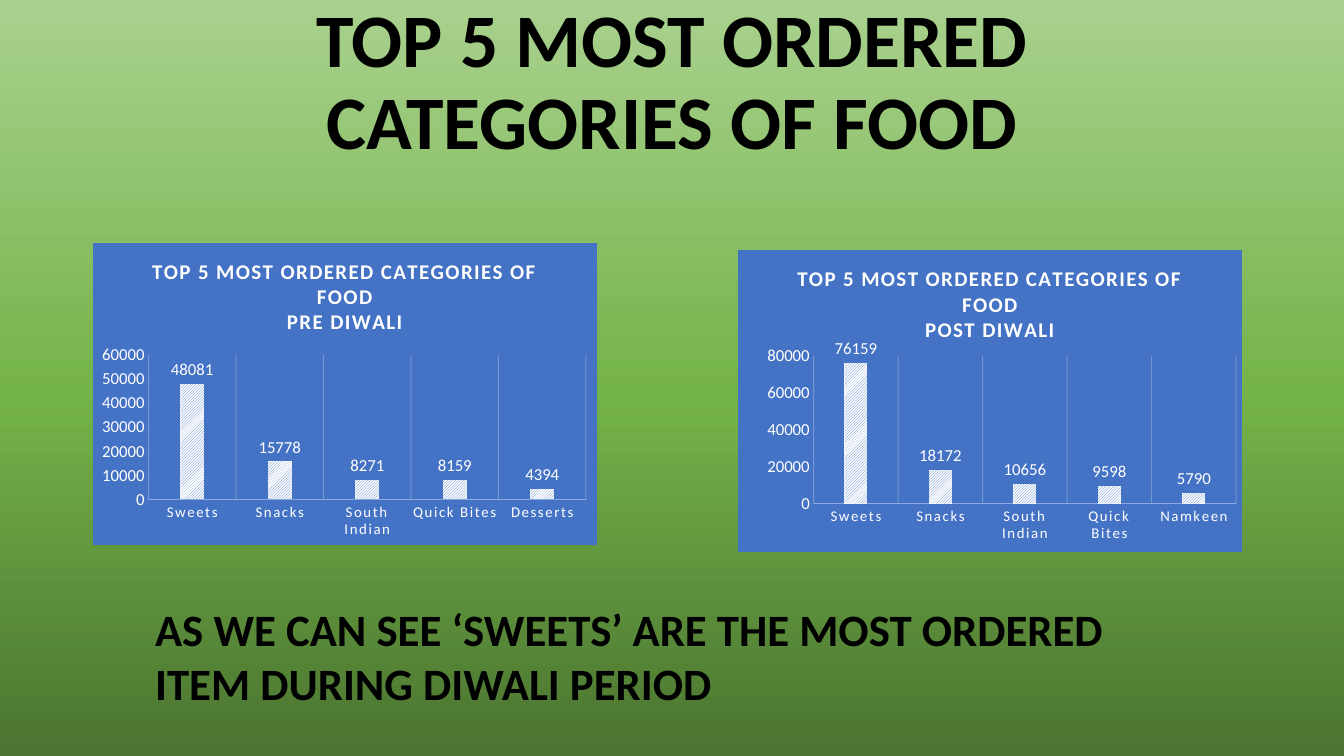
import copy
from dataclasses import dataclass

import lxml.etree
import pptx
import pptx.chart.data
import pptx.dml.color
import pptx.enum.chart
import pptx.enum.dml
import pptx.enum.text
import pptx.oxml
import pptx.oxml.ns
import pptx.util

Pt = pptx.util.Pt
qn = pptx.oxml.ns.qn


def rgb(code):
    return pptx.dml.color.RGBColor.from_string(code)


@dataclass(frozen=True)
class Theme:
    font: str = "Calibri"
    ink: str = "000000"
    white: str = "FFFFFF"
    panel: str = "4472C4"
    axis_line: str = "8FAADC"
    backdrop: tuple = ((0, "4B7430"), (0.48, "74B349"), (1, "A9D18E"))
    title_size: float = 54
    remark_size: float = 32
    chart_title_size: float = 15
    value_size: float = 12
    category_size: float = 10.6


class SlideBuilder:
    def __init__(self, slide, theme):
        self.slide = slide
        self.theme = theme

    def style(self, font, size, color, bold=False):
        font.name = self.theme.font
        font.size = Pt(size)
        font.bold = bold
        font.color.rgb = rgb(color)

    def background(self):
        fill = self.slide.background.fill
        fill.gradient()
        fill.gradient_angle = 90
        stop_list = self.slide.element.xpath(".//a:gsLst")[0]
        stop_list.append(copy.deepcopy(stop_list[-1]))
        for stop, (position, color) in zip(fill.gradient_stops, self.theme.backdrop):
            stop.position = position
            stop.color.rgb = rgb(color)

    def title(self, text, left, top, width, height):
        heading = self.slide.shapes.title
        heading.left, heading.top = Pt(left), Pt(top)
        heading.width, heading.height = Pt(width), Pt(height)
        frame = heading.text_frame
        frame.text = text
        frame.word_wrap = True
        frame.auto_size = pptx.enum.text.MSO_AUTO_SIZE.NONE
        frame.vertical_anchor = pptx.enum.text.MSO_ANCHOR.BOTTOM
        paragraph = frame.paragraphs[0]
        paragraph.alignment = pptx.enum.text.PP_ALIGN.CENTER
        paragraph.line_spacing = 0.9
        self.style(paragraph.font, self.theme.title_size, self.theme.ink, bold=True)

    def remark(self, text, left, top, width, height):
        box = self.slide.shapes.add_textbox(Pt(left), Pt(top), Pt(width), Pt(height))
        frame = box.text_frame
        frame.word_wrap = True
        frame.auto_size = pptx.enum.text.MSO_AUTO_SIZE.SHAPE_TO_FIT_TEXT
        frame.text = text
        self.style(frame.paragraphs[0].font, self.theme.remark_size, self.theme.ink, bold=True)

    def column_chart(self, heading, orders, left, top, width, height, plot):
        """Draw orders by category; plot holds the inner plot area as fractions."""
        theme = self.theme
        data = pptx.chart.data.CategoryChartData()
        data.categories = list(orders)
        data.add_series("Series 1", list(orders.values()))
        chart = self.slide.shapes.add_chart(
            pptx.enum.chart.XL_CHART_TYPE.COLUMN_CLUSTERED,
            Pt(left), Pt(top), Pt(width), Pt(height), data).chart
        self.style(chart.font, 10, theme.ink)
        chart.has_legend = False
        self.chart_title(chart, heading)
        self.axes(chart)
        self.columns(chart.plots[0])
        self.chart_area(chart)
        self.plot_area(chart, plot)

    def chart_title(self, chart, heading):
        chart.has_title = True
        frame = chart.chart_title.text_frame
        frame.text = heading
        for paragraph in frame.paragraphs:
            self.style(paragraph.font, self.theme.chart_title_size, self.theme.white, bold=True)
            paragraph.font._element.set("spc", "100")

    def axes(self, chart):
        theme = self.theme
        categories, values = chart.category_axis, chart.value_axis
        for axis, size in ((categories, theme.category_size), (values, theme.value_size)):
            axis.major_tick_mark = pptx.enum.chart.XL_TICK_MARK.NONE
            self.style(axis.tick_labels.font, size, theme.white)
        categories.tick_labels.font._element.set("spc", "120")
        categories.format.line.color.rgb = rgb(theme.axis_line)
        categories.format.line.width = Pt(0.25)
        categories.has_major_gridlines = True
        grid = categories.major_gridlines.format.line
        grid.color.rgb = rgb(theme.white)
        grid.width = Pt(0.75)
        grid_color = categories.major_gridlines._xAx.xpath("c:majorGridlines//a:srgbClr")[0]
        lxml.etree.SubElement(grid_color, qn("a:alpha"), val="25000")
        values.has_major_gridlines = False
        values.format.line.fill.background()

    def columns(self, plot):
        theme = self.theme
        plot.gap_width = 269
        plot.overlap = -20
        plot.vary_by_categories = False
        fill = plot.series[0].format.fill
        fill.patterned()
        fill.pattern = pptx.enum.dml.MSO_PATTERN.LIGHT_UPWARD_DIAGONAL
        fill.fore_color.rgb = rgb(theme.panel)
        fill.back_color.rgb = rgb(theme.white)
        labels = plot.series[0].data_labels
        labels.show_value = True
        labels.position = pptx.enum.chart.XL_LABEL_POSITION.OUTSIDE_END
        self.style(labels.font, theme.value_size, theme.white)

    def chart_area(self, chart):
        fill = f'<a:solidFill><a:srgbClr val="{self.theme.panel}"/></a:solidFill>'
        area = pptx.oxml.parse_xml(
            f'<c:spPr {pptx.oxml.ns.nsdecls("c", "a")}>{fill}'
            f'<a:ln w="{Pt(0.75)}">{fill}</a:ln></c:spPr>')
        chart.element.find(qn("c:chart")).addnext(area)

    def plot_area(self, chart, fractions):
        plot_area = chart.element.xpath("c:chart/c:plotArea")[0]
        for old_layout in plot_area.findall(qn("c:layout")):
            plot_area.remove(old_layout)
        layout = lxml.etree.Element(qn("c:layout"))
        manual = lxml.etree.SubElement(layout, qn("c:manualLayout"))
        settings = [("layoutTarget", "inner"), ("xMode", "edge"), ("yMode", "edge")]
        settings += zip("xywh", fractions)
        for tag, value in settings:
            lxml.etree.SubElement(manual, qn(f"c:{tag}"), val=str(value))
        plot_area.insert(0, layout)


def main():
    presentation = pptx.Presentation()
    presentation.slide_width, presentation.slide_height = Pt(960), Pt(540)
    title_only = presentation.slide_layouts[5]
    builder = SlideBuilder(presentation.slides.add_slide(title_only), Theme())

    headline = "TOP 5 MOST ORDERED CATEGORIES OF FOOD"
    shared = {"Sweets": 0, "Snacks": 0, "South Indian": 0, "Quick Bites": 0}
    before = dict(zip([*shared, "Desserts"], (48081, 15778, 8271, 8159, 4394)))
    after = dict(zip([*shared, "Namkeen"], (76159, 18172, 10656, 9598, 5790)))

    builder.background()
    builder.title(headline + "\v", 120, 90.7, 720, 95.8)
    builder.column_chart(headline + "\nPRE DIWALI", before, 66.2, 173.5, 360, 216,
                         plot=(0.11, 0.37, 0.87, 0.48))
    builder.column_chart(headline + "\nPOST DIWALI", after, 527, 178.6, 360, 216,
                         plot=(0.15, 0.35, 0.84, 0.49))
    builder.remark("AS WE CAN SEE ‘SWEETS’ ARE THE MOST ORDERED ITEM DURING DIWALI PERIOD",
                   103.7, 426.2, 704.9, 85)
    presentation.save("out.pptx")


if __name__ == "__main__":
    main()
